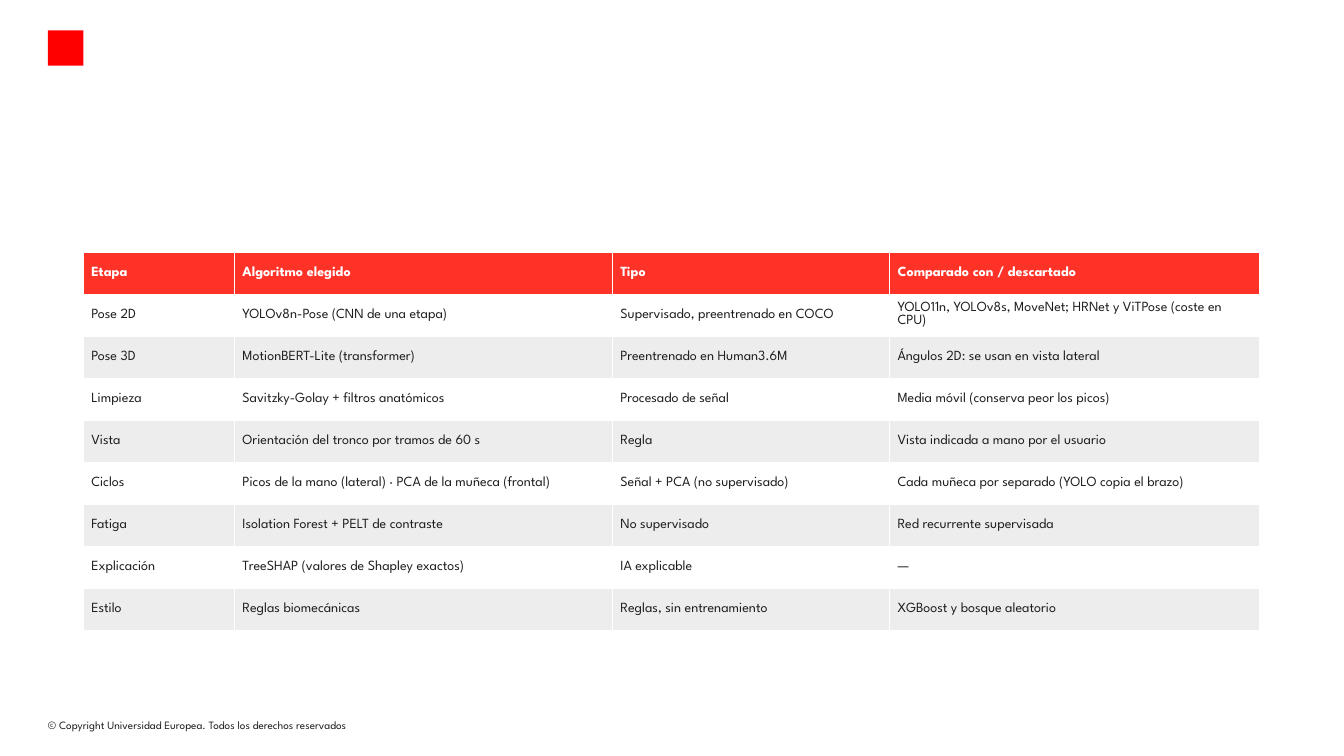
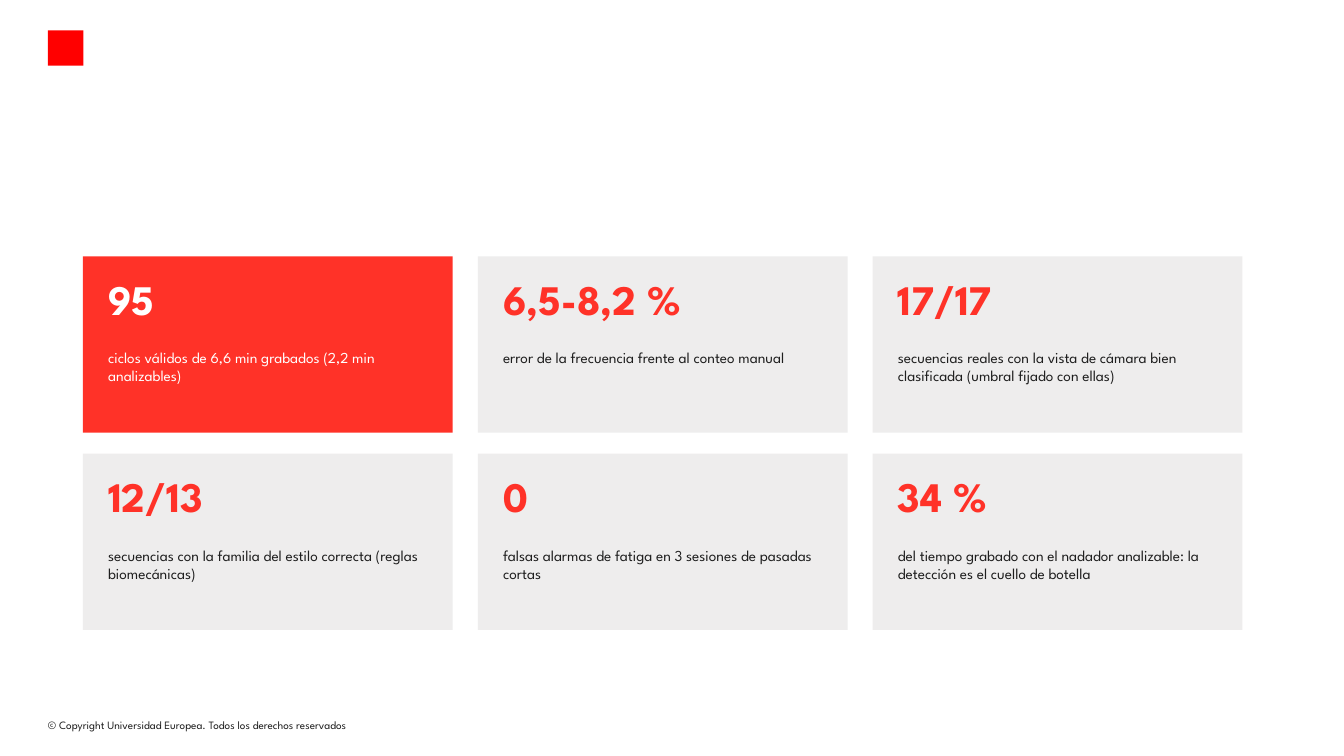
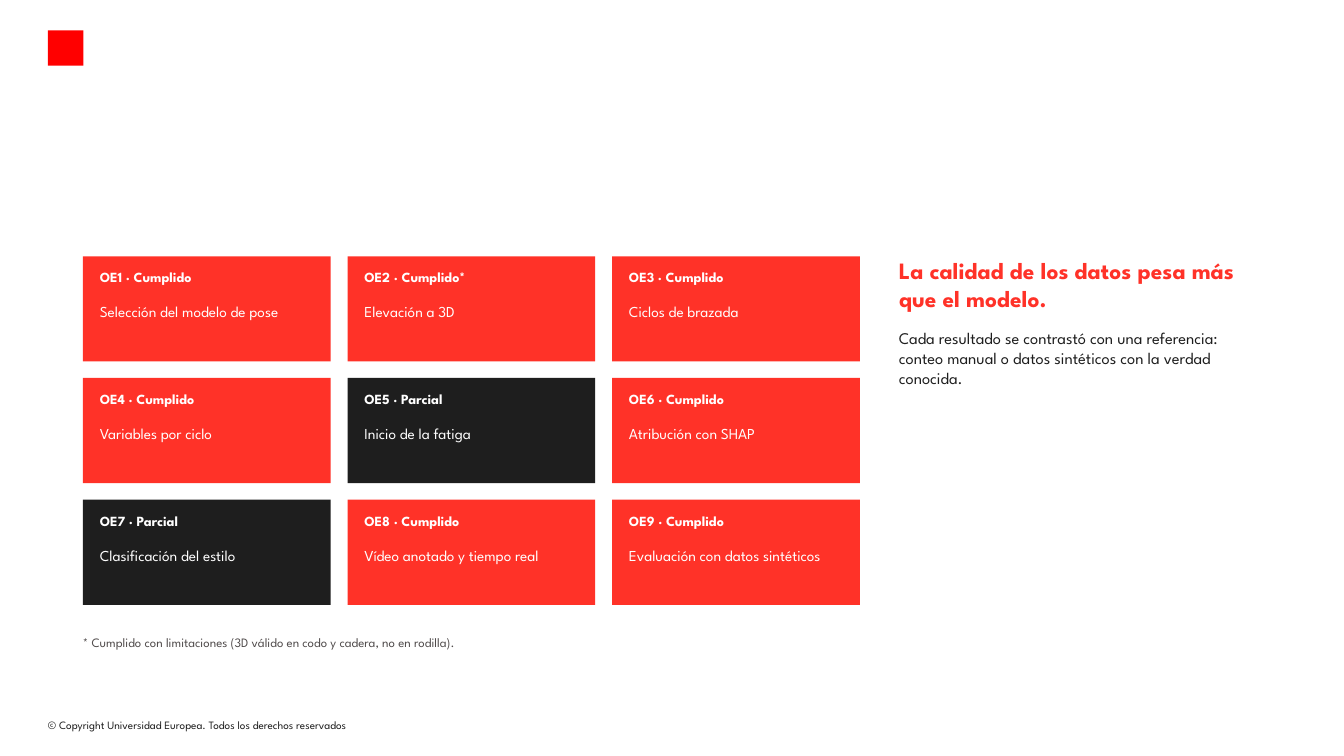
from pptx import Presentation
from pptx.dml.color import RGBColor
from pptx.enum.shapes import MSO_SHAPE as Shape
from pptx.enum.text import MSO_ANCHOR as Anchor
from pptx.util import Cm, Pt

RED = RGBColor(0xFF, 0x32, 0x28)
MARK_RED = RGBColor(0xFF, 0x00, 0x00)
INK = RGBColor(0x1E, 0x1E, 0x1E)
MUTED = RGBColor(0x50, 0x4B, 0x4B)
GREY = RGBColor(0xEE, 0xED, 0xED)
WHITE = RGBColor(0xFF, 0xFF, 0xFF)

FONT = "League Spartan"
LEADING = 1.2
LEFT, TOP = 2.51, 7.75
COPYRIGHT = "© Copyright Universidad Europea. Todos los derechos reservados"

# Content
STAGES = [
    ("Etapa", "Algoritmo elegido", "Tipo", "Comparado con / descartado"),
    ("Pose 2D", "YOLOv8n-Pose (CNN de una etapa)", "Supervisado, preentrenado en COCO",
     "YOLO11n, YOLOv8s, MoveNet; HRNet y ViTPose (coste en CPU)"),
    ("Pose 3D", "MotionBERT-Lite (transformer)", "Preentrenado en Human3.6M",
     "Ángulos 2D: se usan en vista lateral"),
    ("Limpieza", "Savitzky-Golay + filtros anatómicos", "Procesado de señal",
     "Media móvil (conserva peor los picos)"),
    ("Vista", "Orientación del tronco por tramos de 60 s", "Regla",
     "Vista indicada a mano por el usuario"),
    ("Ciclos", "Picos de la mano (lateral) · PCA de la muñeca (frontal)",
     "Señal + PCA (no supervisado)", "Cada muñeca por separado (YOLO copia el brazo)"),
    ("Fatiga", "Isolation Forest + PELT de contraste", "No supervisado",
     "Red recurrente supervisada"),
    ("Explicación", "TreeSHAP (valores de Shapley exactos)", "IA explicable", "—"),
    ("Estilo", "Reglas biomecánicas", "Reglas, sin entrenamiento",
     "XGBoost y bosque aleatorio"),
]
RESULTS = [
    ("95", "ciclos válidos de 6,6 min grabados (2,2 min analizables)"),
    ("6,5-8,2 %", "error de la frecuencia frente al conteo manual"),
    ("17/17", "secuencias reales con la vista de cámara bien clasificada (umbral fijado con ellas)"),
    ("12/13", "secuencias con la familia del estilo correcta (reglas biomecánicas)"),
    ("0", "falsas alarmas de fatiga en 3 sesiones de pasadas cortas"),
    ("34 %", "del tiempo grabado con el nadador analizable: la detección es el cuello de botella"),
]
OBJECTIVES = [
    ("Cumplido", "Selección del modelo de pose"),
    ("Cumplido*", "Elevación a 3D"),
    ("Cumplido", "Ciclos de brazada"),
    ("Cumplido", "Variables por ciclo"),
    ("Parcial", "Inicio de la fatiga"),
    ("Cumplido", "Atribución con SHAP"),
    ("Parcial", "Clasificación del estilo"),
    ("Cumplido", "Vídeo anotado y tiempo real"),
    ("Cumplido", "Evaluación con datos sintéticos"),
]


class Deck:
    def __init__(self):
        self.prs = Presentation()
        self.prs.slide_width, self.prs.slide_height = Cm(40.64), Cm(22.86)
        self.slide = None

    def new_slide(self):
        """Add a blank slide with the shared footer and corner mark."""
        self.slide = self.prs.slides.add_slide(self.prs.slide_layouts[6])
        self.text(1.45, 21.72, 10.5, 0.5, [(COPYRIGHT, 9.6, INK, False, 0)])
        self.box(1.45, 0.92, 1.07, 1.07, MARK_RED)

    def style(self, paragraph, size, color, bold):
        font = paragraph.font
        font.name, font.size, font.bold = FONT, Pt(size), bold
        font.color.rgb = color

    def box(self, x, y, w, h, color):
        box = self.slide.shapes.add_shape(Shape.RECTANGLE, Cm(x), Cm(y), Cm(w), Cm(h))
        box.shadow.inherit = False
        box.fill.solid()
        box.fill.fore_color.rgb = color
        box.line.fill.background()

    def text(self, x, y, w, h, paragraphs):
        """Each paragraph is (text, size, color, bold, space after)."""
        frame = self.slide.shapes.add_textbox(Cm(x), Cm(y), Cm(w), Cm(h)).text_frame
        frame.word_wrap = True
        frame.margin_left = frame.margin_top = frame.margin_right = frame.margin_bottom = 0
        for i, (words, size, color, bold, after) in enumerate(paragraphs):
            paragraph = frame.add_paragraph() if i else frame.paragraphs[0]
            paragraph.text = words
            paragraph.line_spacing = Pt(size * LEADING)
            paragraph.space_after = Pt(after)
            self.style(paragraph, size, color, bold)

    def card(self, x, y, w, h, fill, heading, body, pad, body_top):
        """Heading and body are (text, size, color)."""
        pad_x, pad_y = pad
        text_width = w - 1.67 * pad_x
        self.box(x, y, w, h, fill)
        self.text(x + pad_x, y + pad_y, text_width, body_top - pad_y, [(*heading, True, 6)])
        self.text(x + pad_x, y + body_top, text_width, h - body_top - 0.25, [(*body, False, 6)])

    def table(self, x, y, widths, row_height, rows):
        table = self.slide.shapes.add_table(
            len(rows), len(widths), Cm(x), Cm(y),
            Cm(sum(widths)), Cm(row_height * len(rows))).table
        for column, width in zip(table.columns, widths):
            column.width = Cm(width)
        for r, row in enumerate(rows):
            header = r == 0
            fill = RED if header else WHITE if r % 2 else GREY
            for c, words in enumerate(row):
                cell = table.cell(r, c)
                cell.fill.solid()
                cell.fill.fore_color.rgb = fill
                cell.vertical_anchor = Anchor.MIDDLE
                cell.margin_left = cell.margin_right = Cm(0.25)
                cell.margin_top = cell.margin_bottom = Cm(0.08)
                cell.text = words
                self.style(cell.text_frame.paragraphs[0], 12,
                           WHITE if header else INK, header)


def grid(count, columns, pitch_x, pitch_y):
    """Yield the top left corner of each card, row by row."""
    for i in range(count):
        row, column = divmod(i, columns)
        yield LEFT + column * pitch_x, TOP + row * pitch_y


def main():
    deck = Deck()

    # Algorithms by stage
    deck.new_slide()
    deck.table(LEFT, 7.62, (4.57, 11.43, 8.38, 11.18), 1.27, STAGES)

    # Key results, the first one highlighted
    deck.new_slide()
    corners = grid(len(RESULTS), 3, 11.94, 5.97)
    for i, ((x, y), (figure, caption)) in enumerate(zip(corners, RESULTS)):
        fill, figure_color, caption_color = (GREY, RED, INK) if i else (RED, WHITE, WHITE)
        deck.card(x, y, 11.18, 5.33, fill, (figure, 36, figure_color),
                  (caption, 13, caption_color), pad=(0.76, 0.51), body_top=2.79)

    # Objectives, the partial ones in dark
    deck.new_slide()
    corners = grid(len(OBJECTIVES), 3, 8, 3.68)
    for number, ((x, y), (status, goal)) in enumerate(zip(corners, OBJECTIVES), 1):
        deck.card(x, y, 7.49, 3.18, INK if status == "Parcial" else RED,
                  (f"OE{number} · {status}", 12, WHITE), (goal, 13, WHITE),
                  pad=(0.51, 0.38), body_top=1.4)

    # Conclusion and footnote
    deck.text(27.18, TOP, 10.92, 10.67, [
        ("La calidad de los datos pesa más que el modelo.", 20, RED, True, 14),
        ("Cada resultado se contrastó con una referencia: conteo manual o datos "
         "sintéticos con la verdad conocida.", 14, INK, False, 6),
    ])
    deck.text(LEFT, 19.18, 34.29, 0.89, [
        ("* Cumplido con limitaciones (3D válido en codo y cadera, no en rodilla).",
         11, MUTED, False, 6),
    ])

    deck.prs.save("out.pptx")


if __name__ == "__main__":
    main()
